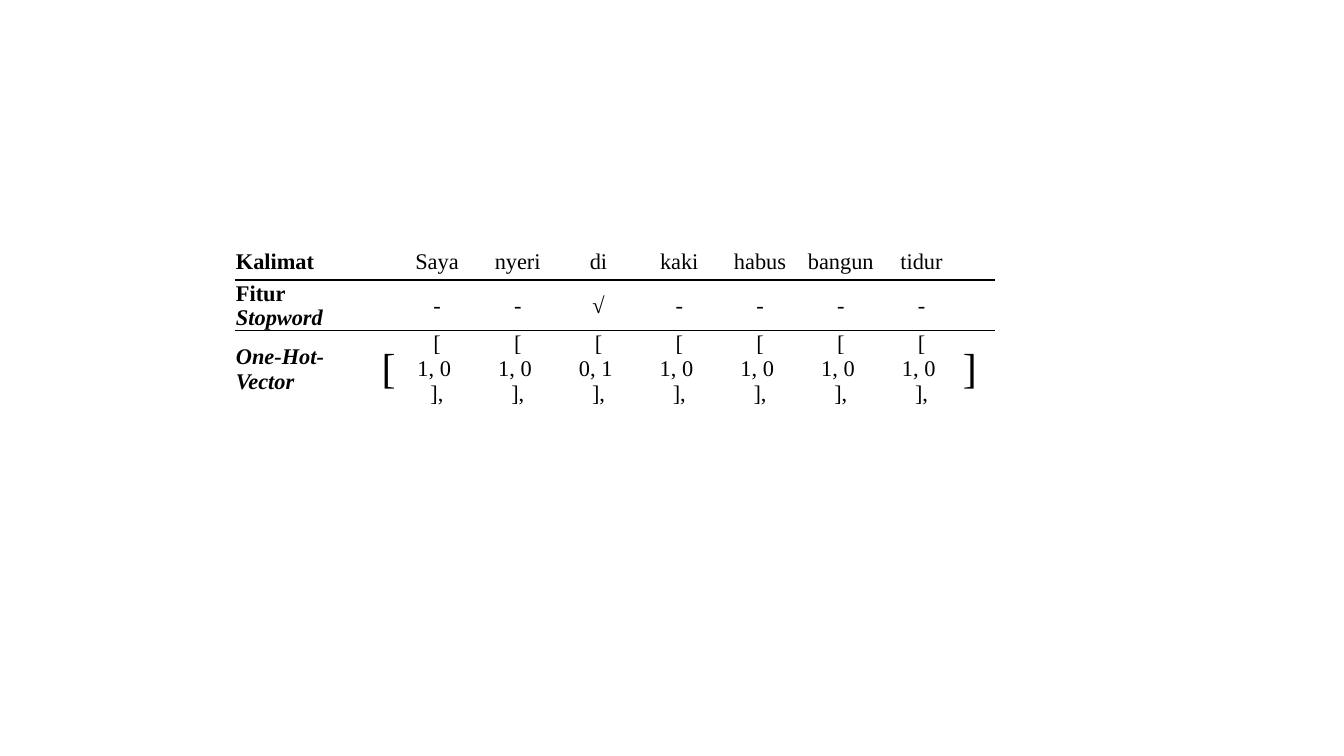
from lxml import etree
from pptx import Presentation
from pptx.dml.color import RGBColor
from pptx.enum.text import MSO_ANCHOR, PP_ALIGN
from pptx.oxml.ns import qn
from pptx.util import Pt

LEFT, CENTER, RIGHT = PP_ALIGN.LEFT, PP_ALIGN.CENTER, PP_ALIGN.RIGHT
MIDDLE = MSO_ANCHOR.MIDDLE
PLAIN_STYLE = "{2D5ABB26-0587-4C30-8999-92F81FD0307C}"
BLACK = "000000"


def color(value):
    return RGBColor.from_string(value)


def add_text(para, text, size=16, bold=False, italic=False, align=LEFT):
    para.alignment = align
    span = para.add_run()
    span.text = text
    font = span.font
    font.name, font.size = "Times New Roman", Pt(size)
    font.bold, font.italic = bold, italic
    font.color.rgb = color(BLACK)


class SlideBuilder:
    def __init__(self, page):
        self.page = page
        self.rule_width = 1

    def add_table(self, left, top, height, widths, heights):
        frame = self.page.shapes.add_table(
            len(heights), len(widths), Pt(left), Pt(top), Pt(sum(widths)), Pt(height))
        table = frame.table
        table.first_row = table.horz_banding = False
        table._tbl.tblPr.find(qn("a:tableStyleId")).text = PLAIN_STYLE
        for column, width in zip(table.columns, widths):
            column.width = Pt(width)
        for row, row_height in zip(table.rows, heights):
            row.height = Pt(row_height)
        frame.height = Pt(height)
        return table

    def format_cell(self, cell, sides):
        cell.vertical_anchor = MIDDLE
        cell.margin_left = cell.margin_right = cell.margin_top = Pt(0.75)
        cell.margin_bottom = Pt(0)
        properties = cell._tc.get_or_add_tcPr()
        for side in sides:
            line = etree.SubElement(properties, qn("a:ln" + side), w=str(Pt(self.rule_width)))
            fill = etree.SubElement(line, qn("a:solidFill"))
            etree.SubElement(fill, qn("a:srgbClr"), val=BLACK)
        cell.fill.background()

    def fill_cell(self, cell, lines, **style):
        for index, text in enumerate(lines):
            frame = cell.text_frame
            para = frame.add_paragraph() if index else frame.paragraphs[0]
            add_text(para, text, **style)


def main():
    deck = Presentation()
    deck.slide_width, deck.slide_height = Pt(960), Pt(540)
    builder = SlideBuilder(deck.slides.add_slide(deck.slide_layouts[6]))

    words = ["Saya", "nyeri", "di", "kaki", "habus", "bangun", "tidur"]
    stopwords = {"di"}
    widths = [87, 28.5] + [57.7] * len(words) + [23.5]
    table = builder.add_table(167.8, 173.5, 124, widths, [26.5, 13, 25])

    for row, sides in enumerate(["B", "TB", "T"]):
        for column in range(len(widths)):
            builder.format_cell(table.cell(row, column), sides)

    builder.fill_cell(table.cell(0, 0), ["Kalimat"], bold=True)
    feature = table.cell(1, 0).text_frame.paragraphs[0]
    add_text(feature, "Fitur ", bold=True)
    add_text(feature, "Stopword", bold=True, italic=True)
    builder.fill_cell(table.cell(2, 0), ["One-Hot-Vector"], bold=True, italic=True)
    builder.fill_cell(table.cell(2, 1), ["["], size=30, align=RIGHT)
    builder.fill_cell(table.cell(2, len(widths) - 1), ["]"], size=30)

    for column, word in enumerate(words, start=2):
        mark, vector = ("√", "0, 1 ") if word in stopwords else ("-", "1, 0 ")
        for row, lines in enumerate([[word], [mark], ["[", vector, "],"]]):
            builder.fill_cell(table.cell(row, column), lines, align=CENTER)

    deck.save("out.pptx")


if __name__ == "__main__":
    main()
